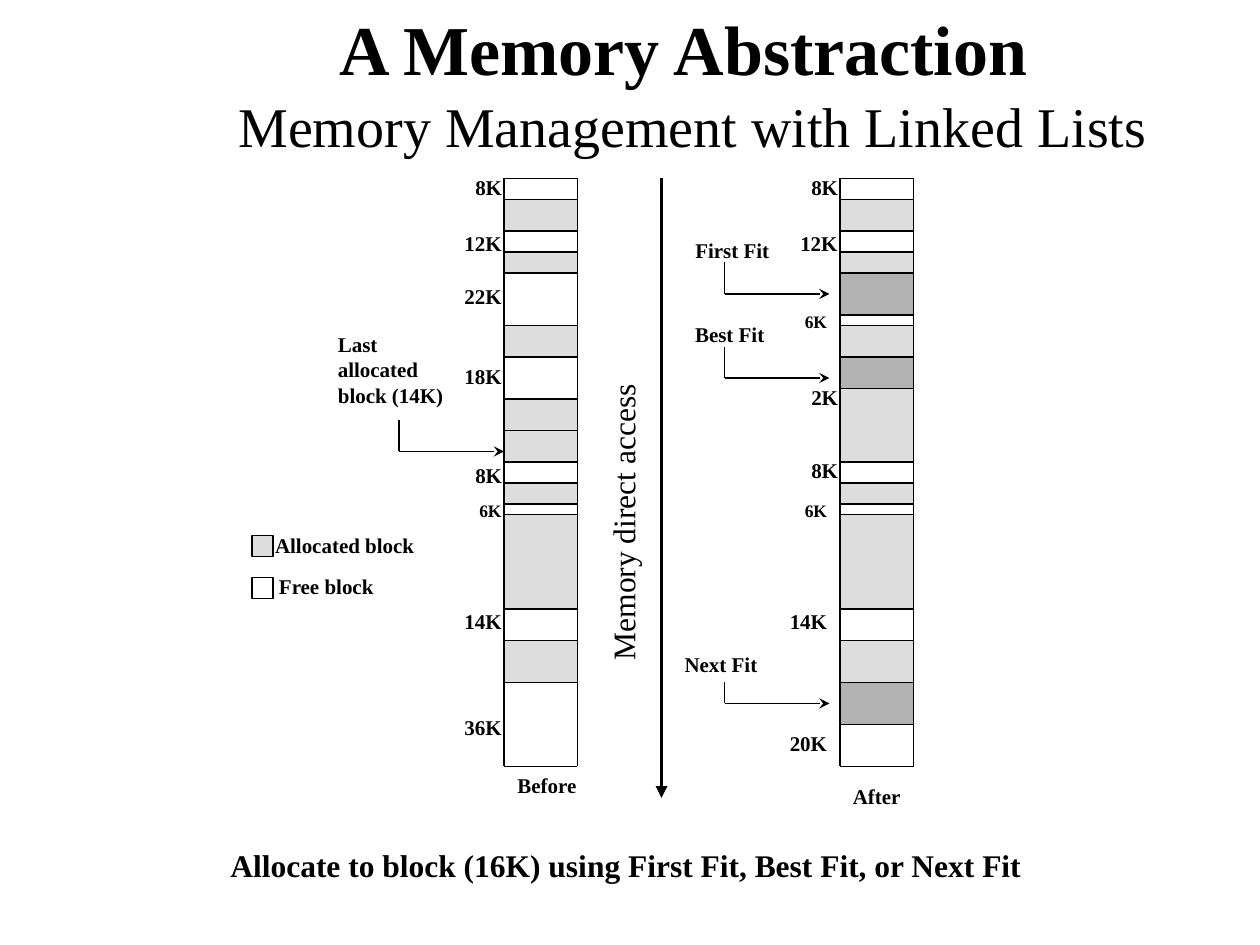
from lxml.etree import SubElement
from pptx import Presentation
from pptx.dml.color import RGBColor
from pptx.enum.shapes import MSO_CONNECTOR, MSO_SHAPE
from pptx.enum.text import MSO_ANCHOR, MSO_AUTO_SIZE, PP_ALIGN
from pptx.oxml.ns import qn
from pptx.util import Pt

FONT = "Times New Roman"
BLACK, WHITE = "000000", "FFFFFF"
ALLOCATED, NEW = "DDDDDD", "B2B2B2"
FREE = None
BLOCK_WIDTH = 42
MEMORY_TOP = 102

presentation = Presentation()
presentation.slide_width, presentation.slide_height = Pt(720), Pt(540)
slide = presentation.slides.add_slide(presentation.slide_layouts[5])
color = RGBColor.from_string


def add_line(x1, y1, x2, y2, width=1, arrow=None):
    line = slide.shapes.add_connector(
        MSO_CONNECTOR.STRAIGHT, Pt(x1), Pt(y1), Pt(x2), Pt(y2))
    line.line.width = Pt(width)
    line.line.color.rgb = color(BLACK)
    properties = line._element.spPr
    if arrow:
        SubElement(properties.find(qn("a:ln")), qn("a:tailEnd"), type=arrow)
    SubElement(properties, qn("a:effectLst"))


def add_label(text, left, top, width, height=21.5, size=12, bold=True,
              align=PP_ALIGN.CENTER, wrap=False):
    label = slide.shapes.add_textbox(Pt(left), Pt(top), Pt(width), Pt(height))
    frame = label.text_frame
    frame.word_wrap = wrap
    frame.auto_size = MSO_AUTO_SIZE.SHAPE_TO_FIT_TEXT
    frame.text = text
    for paragraph in frame.paragraphs:
        paragraph.alignment = align
        paragraph.font.name = FONT
        paragraph.font.size = Pt(size)
        paragraph.font.bold = bold
        paragraph.font.color.rgb = color(BLACK)
    return label


# Title with subtitle line
title = slide.shapes.title
title.left, title.top, title.width, title.height = Pt(72), Pt(0), Pt(648), Pt(90)
title.text_frame.auto_size = MSO_AUTO_SIZE.NONE
title.text_frame.vertical_anchor = MSO_ANCHOR.MIDDLE
paragraph = title.text_frame.paragraphs[0]
paragraph.alignment = PP_ALIGN.CENTER
paragraph.font.name = FONT
paragraph.font.color.rgb = color(BLACK)
for text, size, bold in [("A Memory Abstraction", 40, True), (" ", 44, True),
                         ("Memory Management with Linked Lists", 32, False)]:
    if not bold:
        paragraph.add_line_break()
    run = paragraph.add_run()
    run.text = text
    run.font.size = Pt(size)
    run.font.bold = bold

# Memory columns: (kind, bottom edge) of each block from the top down
before = [(FREE, 114), (ALLOCATED, 132), (FREE, 144), (ALLOCATED, 156),
          (FREE, 186), (ALLOCATED, 204), (FREE, 228), (ALLOCATED, 264),
          (FREE, 276), (ALLOCATED, 288), (FREE, 294), (ALLOCATED, 348),
          (FREE, 366), (ALLOCATED, 390), (FREE, 438)]
after = [(FREE, 114), (ALLOCATED, 132), (FREE, 144), (ALLOCATED, 156),
         (NEW, 180), (FREE, 186), (ALLOCATED, 204), (NEW, 222),
         (ALLOCATED, 264), (FREE, 276), (ALLOCATED, 288), (FREE, 294),
         (ALLOCATED, 348), (FREE, 366), (ALLOCATED, 390), (NEW, 414),
         (FREE, 438)]
boxes = [(ALLOCATED, 144, 306, 12, 12), (WHITE, 144, 330, 12, 12)]  # legend
for left, blocks in [(288, before), (480, after)]:
    right = left + BLOCK_WIDTH
    top = MEMORY_TOP
    for kind, bottom in blocks:
        if kind is FREE:
            add_line(left, top, left, bottom)
            add_line(right, top, right, bottom)
        else:
            boxes.append((kind, left, top, BLOCK_WIDTH, bottom - top))
        top = bottom
    for edge in (MEMORY_TOP, bottom):
        add_line(left, edge, right, edge)

# Filled blocks and legend keys
for fill, left, top, width, height in boxes:
    block = slide.shapes.add_shape(
        MSO_SHAPE.RECTANGLE, Pt(left), Pt(top), Pt(width), Pt(height))
    block.shadow.inherit = False
    block.fill.solid()
    block.fill.fore_color.rgb = color(fill)
    block.line.color.rgb = color(BLACK)
    block.line.width = Pt(1)
add_line(288, 246, 330, 246)  # start of the last allocated block

# Elbow pointers: start x, start y, arrow y, end x
for x, y, arrow_y, end_x in [(228, 240, 258, 288), (414, 150, 168, 474),
                             (414, 198, 216, 474), (414, 390, 402, 474)]:
    add_line(x, y, x, arrow_y)
    add_line(x, arrow_y, end_x, arrow_y, arrow="stealth")

# Free block sizes: text, right edge, top
for text, right, top in [
        ("8K", 294, 96), ("12K", 294, 128), ("22K", 294, 158.5),
        ("18K", 294, 204), ("8K", 294, 260.5), ("6K", 294, 282),
        ("14K", 294, 344), ("36K", 294, 404.5),
        ("8K", 486, 96), ("12K", 486, 128), ("6K", 480, 174),
        ("2K", 486, 216), ("8K", 486, 258), ("6K", 480, 282),
        ("14K", 480, 344), ("20K", 480, 414)]:
    if text == "6K":
        add_label(text, right - 27.5, top, 27.5, height=19.5, size=10)
    else:
        width = 36 if len(text) == 3 else 29.5
        add_label(text, right - width, top, width)

# Captions, fit names and legend
for text, left, top, width in [
        ("Before", 288, 438, 49), ("After", 480, 444, 42),
        ("First Fit", 390, 132, 57), ("Best Fit", 390, 180, 54),
        ("Next Fit", 384, 368.5, 56),
        ("Allocated block", 150, 300.5, 94), ("Free block", 152, 324, 69)]:
    add_label(text, left, top, width)
add_label("Last\nallocated\nblock (14K)", 186, 186, 75, height=50.5,
          align=PP_ALIGN.LEFT)

# Access direction and closing statement
add_line(378, MEMORY_TOP, 378, 456, width=2.25, arrow="triangle")
access = add_label("Memory direct access", 236, 250, 240, height=29, size=18,
                   bold=False, align=PP_ALIGN.LEFT, wrap=True)
access.rotation = 270
add_label("Allocate to block (16K) using First Fit, Best Fit, or Next Fit ",
          108, 480, 504, height=29, size=18, wrap=True)

presentation.save("out.pptx")
